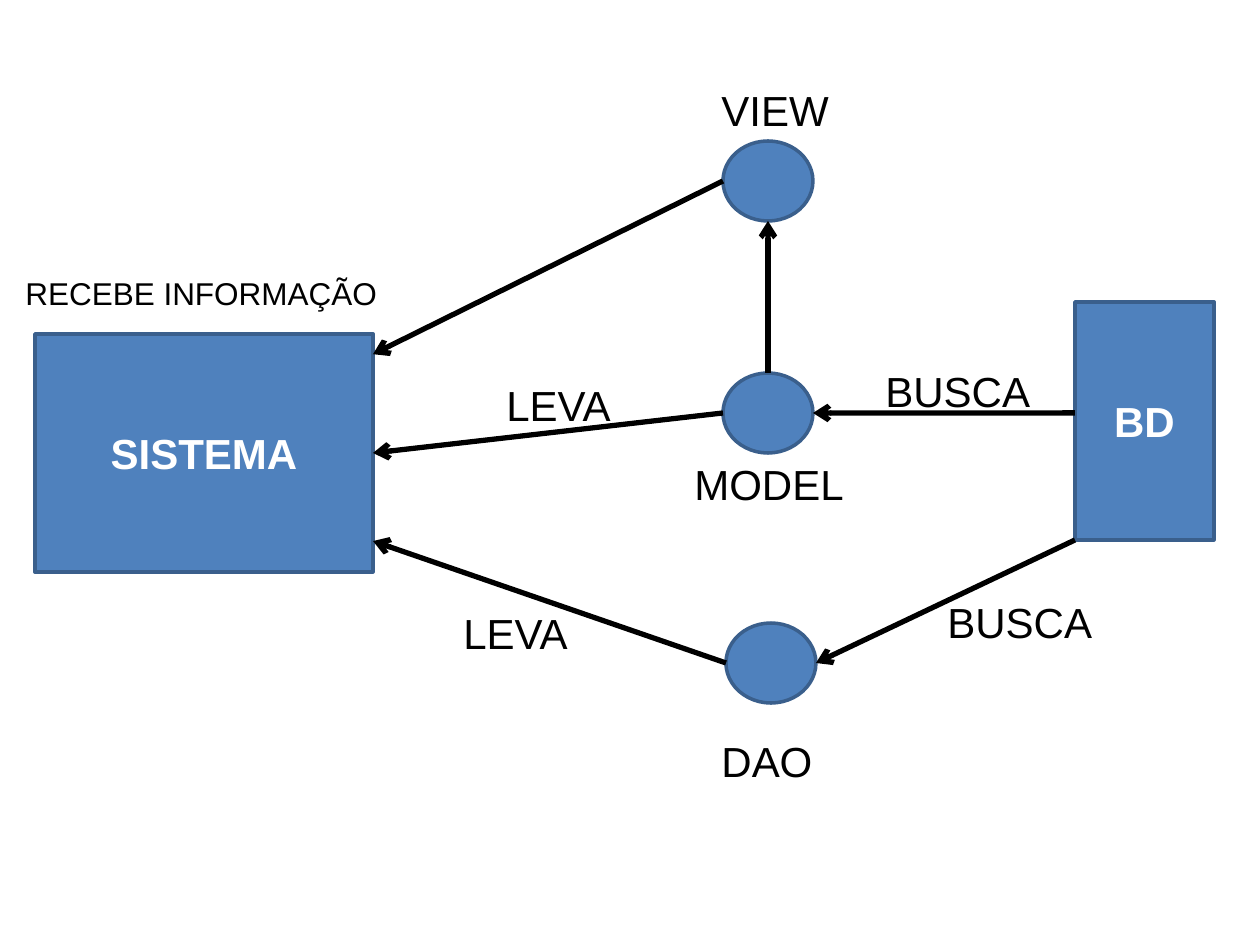
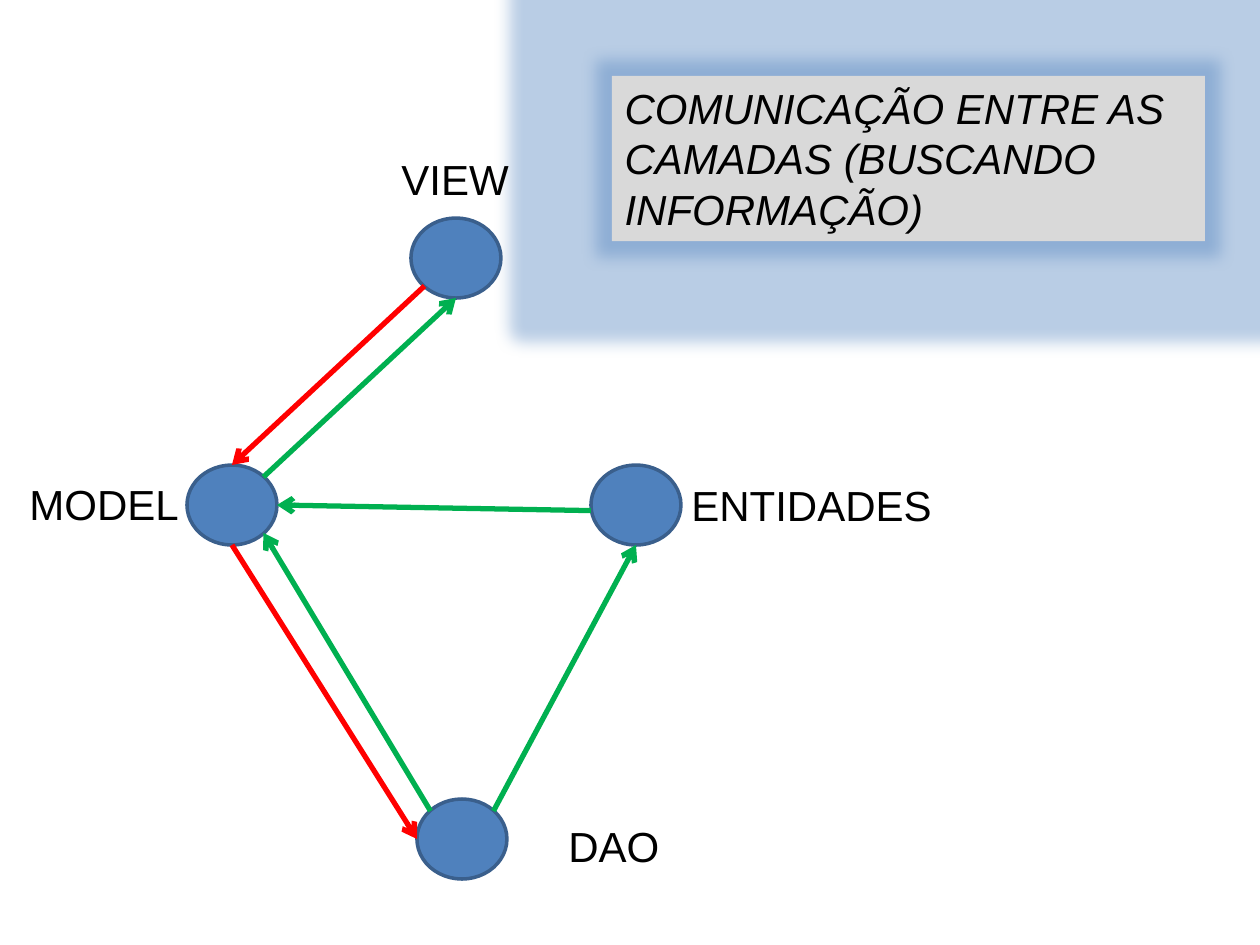
"""Two diagrams of the layers of a system and how they exchange information."""
from lxml import etree
from pptx import Presentation
from pptx.dml.color import RGBColor
from pptx.enum.shapes import MSO_CONNECTOR, MSO_SHAPE
from pptx.enum.text import MSO_ANCHOR, MSO_AUTO_SIZE, PP_ALIGN
from pptx.oxml.ns import qn
from pptx.util import Emu, Pt

RECTANGLE, OVAL = MSO_SHAPE.RECTANGLE, MSO_SHAPE.OVAL
STRAIGHT = MSO_CONNECTOR.STRAIGHT
TOP, MIDDLE = MSO_ANCHOR.TOP, MSO_ANCHOR.MIDDLE
LEFT, CENTER = PP_ALIGN.LEFT, PP_ALIGN.CENTER
GROW, FIXED = MSO_AUTO_SIZE.SHAPE_TO_FIT_TEXT, MSO_AUTO_SIZE.NONE

EMU_PER_PIXEL = 914400 / 126
FONT = "Arial"
BLUE, DARK_BLUE, PALE_BLUE = "4F81BD", "3A5F8C", "B9CDE5"
BLACK, WHITE, GRAY = "000000", "FFFFFF", "D9D9D9"
RED, GREEN = "FF0000", "00B050"
CIRCLE = (90, 80)
LABEL_WIDTHS = {"VIEW": 134, "MODEL": 176, "DAO": 117, "BUSCA": 171,
                "LEVA": 131, "ENTIDADES": 268, "RECEBE INFORMAÇÃO": 381}

# Points on a node, as fractions of its width and height
SITES = {"top": (0.5, 0), "bottom": (0.5, 1), "left": (0, 0.5), "right": (1, 0.5),
         "top left": (0.15, 0.15), "top right": (0.85, 0.15),
         "bottom left": (0.15, 0.85), "bottom right": (0.85, 0.85),
         "corner": (0, 1), "model level": (0, 0.466), "low left": (0, 0.57),
         "upper right": (1, 0.085), "lower right": (1, 0.87)}

# blocks: name, left, top, width, height; circles: name, left, top
# labels: text, left, top, size; arrows: from node, site, to node, site, colour
FETCH_FLOW = {
    "blocks": [("SISTEMA", 35, 334, 338, 238), ("BD", 1075, 302, 139, 238)],
    "circles": [("view", 723, 141), ("model", 723, 373), ("dao", 726, 623)],
    "labels": [("VIEW", 709, 78, 24), ("MODEL", 682, 452, 24), ("DAO", 709, 729, 24),
               ("BUSCA", 935, 590, 24), ("BUSCA", 873, 359, 24),
               ("LEVA", 451, 601, 24), ("LEVA", 494, 373, 24),
               ("RECEBE INFORMAÇÃO", 13, 268, 18)],
    "arrows": [("view", "left", "SISTEMA", "upper right", BLACK),
               ("model", "left", "SISTEMA", "right", BLACK),
               ("dao", "left", "SISTEMA", "lower right", BLACK),
               ("BD", "corner", "dao", "right", BLACK),
               ("BD", "model level", "model", "right", BLACK),
               ("model", "top", "view", "bottom", BLACK)],
}
LAYER_FLOW = {
    "blocks": [],
    "circles": [("view", 411, 218), ("model", 187, 465),
                ("entities", 591, 465), ("dao", 417, 799)],
    "labels": [("VIEW", 389, 147, 24), ("DAO", 556, 814, 24),
               ("ENTIDADES", 679, 473, 24), ("MODEL", 17, 472, 24)],
    "arrows": [("view", "bottom left", "model", "top", RED),
               ("model", "bottom", "dao", "left", RED),
               ("dao", "top left", "model", "bottom right", GREEN),
               ("dao", "top right", "entities", "bottom", GREEN),
               ("model", "top right", "view", "bottom", GREEN),
               ("entities", "low left", "model", "right", GREEN)],
}
TITLE = "COMUNICAÇÃO ENTRE AS CAMADAS (BUSCANDO INFORMAÇÃO)"
TITLE_BOX = (612, 76, 593, 165)
HALO_MARGIN, GLOW_RADIUS = 55, 31


def emu(pixels):
    """Turn pixels into EMU."""
    return Emu(round(pixels * EMU_PER_PIXEL))


def color(value):
    """Turn a hex string into a colour."""
    return RGBColor.from_string(value)


def write(shape, text, size=24, ink=BLACK, bold=False, italic=False,
          align=LEFT, anchor=TOP, wrap=True, fit=FIXED):
    """Put one formatted paragraph into a shape."""
    frame = shape.text_frame
    frame.word_wrap, frame.auto_size, frame.vertical_anchor = wrap, fit, anchor
    para = frame.paragraphs[0]
    para.alignment = align
    span = para.add_run()
    span.text = text
    font = span.font
    font.name, font.size, font.bold, font.italic = FONT, Pt(size), bold, italic
    font.color.rgb = color(ink)


def add_box(page, kind, bounds, fill=BLUE, line=DARK_BLUE):
    """Add a filled shape, outlined when a line colour is given."""
    box = page.shapes.add_shape(kind, *map(emu, bounds))
    box.shadow.inherit = False
    box.fill.solid()
    box.fill.fore_color.rgb = color(fill)
    if line:
        box.line.color.rgb = color(line)
        box.line.width = Pt(2)
    else:
        box.line.fill.background()
    return box


def add_arrow(page, start, end, ink):
    """Add a straight line with an open arrowhead at its end."""
    arrow = page.shapes.add_connector(STRAIGHT, *map(emu, start + end))
    arrow.line.color.rgb = color(ink)
    arrow.line.width = Pt(3)
    etree.SubElement(arrow.line._get_or_add_ln(), qn("a:tailEnd"), type="arrow")
    etree.SubElement(arrow._element.spPr, qn("a:effectLst"))


def add_glow(shape, ink, opacity):
    """Surround a shape with a glow; opacity is in percent."""
    shape.shadow.inherit = False
    effects = shape._element.spPr.find(qn("a:effectLst"))
    glow = etree.SubElement(effects, qn("a:glow"), rad=str(emu(GLOW_RADIUS)))
    tint = etree.SubElement(glow, qn("a:srgbClr"), val=ink)
    etree.SubElement(tint, qn("a:alpha"), val=str(opacity * 1000))


def site_point(bounds, site):
    """Give the place of a named site on a node."""
    left, top, width, height = bounds
    across, down = SITES[site]
    return left + across * width, top + down * height


def draw_diagram(page, diagram):
    """Draw the nodes, arrows and labels of a diagram."""
    nodes = {}
    for name, *bounds in diagram["blocks"]:
        nodes[name] = bounds
        box = add_box(page, RECTANGLE, bounds)
        write(box, name, ink=WHITE, bold=True, align=CENTER, anchor=MIDDLE)
    for name, left, top in diagram["circles"]:
        nodes[name] = (left, top, *CIRCLE)
        add_box(page, OVAL, nodes[name])
    for source, source_site, target, target_site, ink in diagram["arrows"]:
        add_arrow(page, site_point(nodes[source], source_site),
                  site_point(nodes[target], target_site), ink)
    for text, left, top, size in diagram["labels"]:
        height = 63 if size == 24 else 50
        bounds = (left, top, LABEL_WIDTHS[text], height)
        label = page.shapes.add_textbox(*map(emu, bounds))
        write(label, text, size=size, wrap=False, fit=GROW)


def draw_title(page):
    """Format the title as a gray box in front of a blue halo."""
    left, top, width, height = TITLE_BOX
    halo = add_box(page, RECTANGLE, (left - HALO_MARGIN, top - HALO_MARGIN,
                                     width + 2 * HALO_MARGIN, height + 2 * HALO_MARGIN),
                   fill=PALE_BLUE, line=None)
    add_glow(halo, PALE_BLUE, 100)
    title = page.shapes.title
    title.left, title.top, title.width, title.height = map(emu, TITLE_BOX)
    title.fill.solid()
    title.fill.fore_color.rgb = color(GRAY)
    add_glow(title, BLUE, 40)
    write(title, TITLE, italic=True, fit=GROW)
    halo._element.addnext(title._element)


deck = Presentation()
deck.slide_width, deck.slide_height = emu(1260), emu(945)
title_only, blank = deck.slide_layouts[5], deck.slide_layouts[6]

draw_diagram(deck.slides.add_slide(blank), FETCH_FLOW)

layer_page = deck.slides.add_slide(title_only)
draw_title(layer_page)
draw_diagram(layer_page, LAYER_FLOW)

deck.save("out.pptx")
